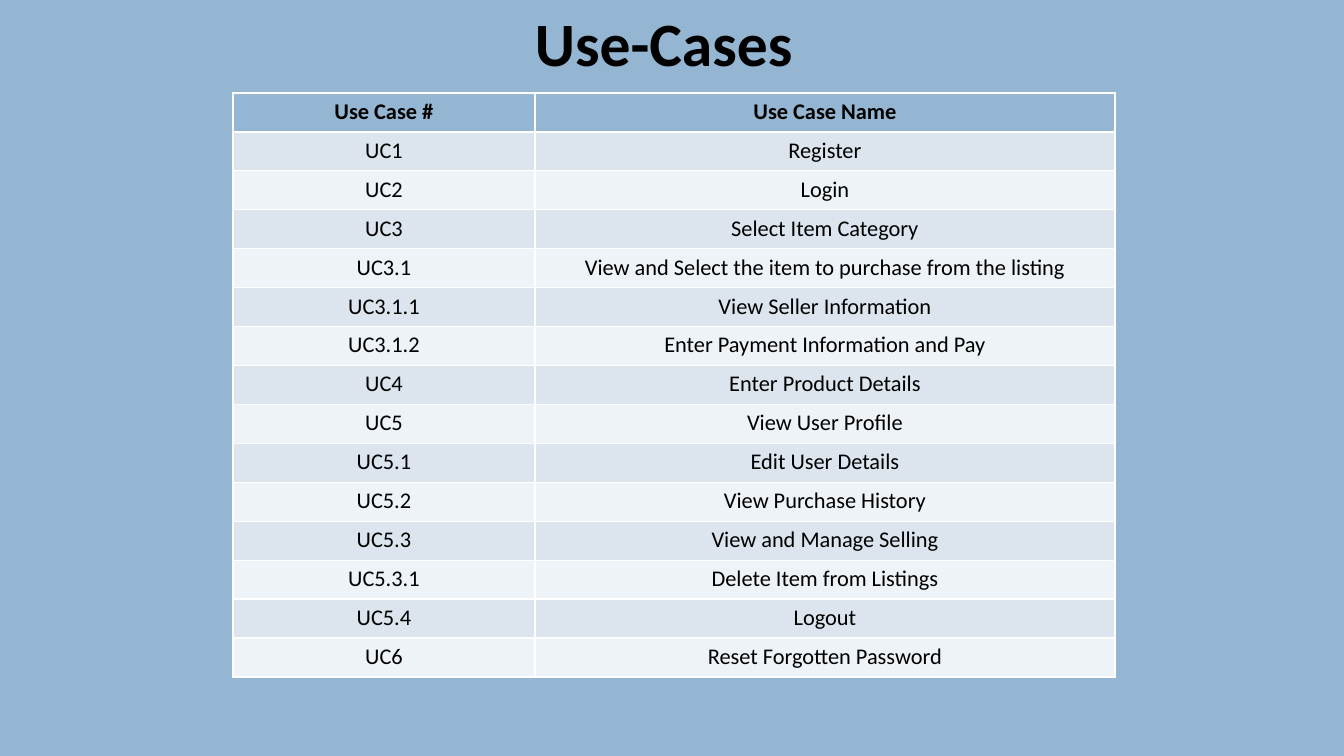
from pptx import Presentation
from pptx.dml.color import RGBColor
from pptx.enum.text import MSO_ANCHOR, PP_ALIGN
from pptx.util import Emu, Pt

BLUE = RGBColor(0x94, 0xB6, 0xD2)
DARK_BAND = RGBColor(0xDC, 0xE5, 0xEE)
LIGHT_BAND = RGBColor(0xEE, 0xF3, 0xF7)
BLACK = RGBColor(0, 0, 0)
FONT = "Calibri"


def px(pixels):
    return Emu(round(pixels * 914400 / 100.8))


def style_paragraph(paragraph, size, bold, alignment):
    paragraph.alignment = alignment
    paragraph.font.name = FONT
    paragraph.font.size = Pt(size)
    paragraph.font.bold = bold
    paragraph.font.color.rgb = BLACK


use_cases = [
    ("Use Case #", "Use Case Name"),
    ("UC1", "Register"),
    ("UC2", "Login"),
    ("UC3", "Select Item Category"),
    ("UC3.1", "View and Select the item to purchase from the listing"),
    ("UC3.1.1", "View Seller Information"),
    ("UC3.1.2", "Enter Payment Information and Pay"),
    ("UC4", "Enter Product Details"),
    ("UC5", "View User Profile"),
    ("UC5.1", "Edit User Details"),
    ("UC5.2", "View Purchase History"),
    ("UC5.3", "View and Manage Selling"),
    ("UC5.3.1", "Delete Item from Listings"),
    ("UC5.4", "Logout"),
    ("UC6", "Reset Forgotten Password"),
]

presentation = Presentation()
presentation.slide_width = px(1344)
presentation.slide_height = px(756)
slide = presentation.slides.add_slide(presentation.slide_layouts[6])
slide.background.fill.solid()
slide.background.fill.fore_color.rgb = BLUE

table_frame = slide.shapes.add_table(
    len(use_cases), 2, px(233), px(93), px(882), px(584))
table = table_frame.table
for column, width in zip(table.columns, (302, 580)):
    column.width = px(width)

for row_index, use_case in enumerate(use_cases):
    is_header = row_index == 0
    band = DARK_BAND if row_index % 2 else LIGHT_BAND
    for column_index, text in enumerate(use_case):
        cell = table.cell(row_index, column_index)
        cell.text = text
        cell.vertical_anchor = MSO_ANCHOR.TOP
        cell.fill.solid()
        cell.fill.fore_color.rgb = BLUE if is_header else band
        style_paragraph(cell.text_frame.paragraphs[0], 16, is_header, PP_ALIGN.CENTER)

title = slide.shapes.add_textbox(px(525), px(0), px(353), px(85))
title.text_frame.word_wrap = True
title.text_frame.text = "Use-Cases"
style_paragraph(title.text_frame.paragraphs[0], 44, True, PP_ALIGN.LEFT)

presentation.save("out.pptx")
